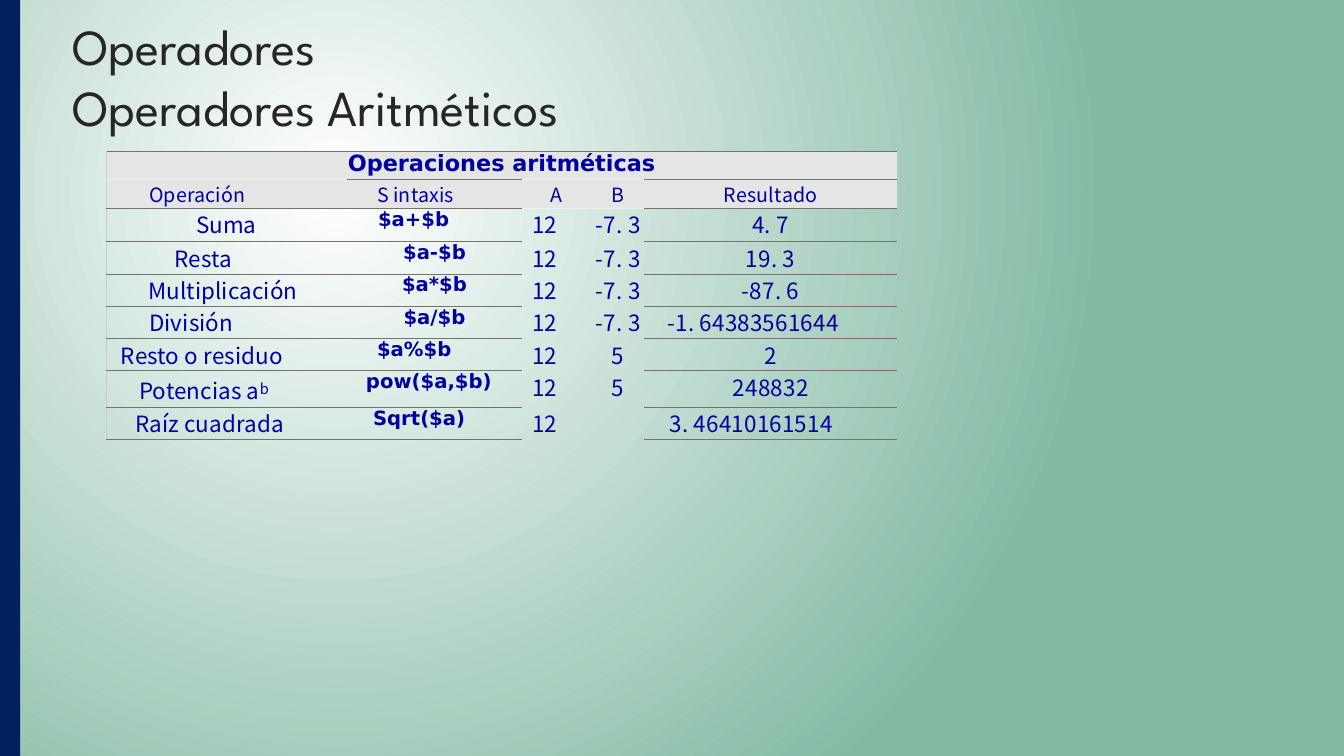
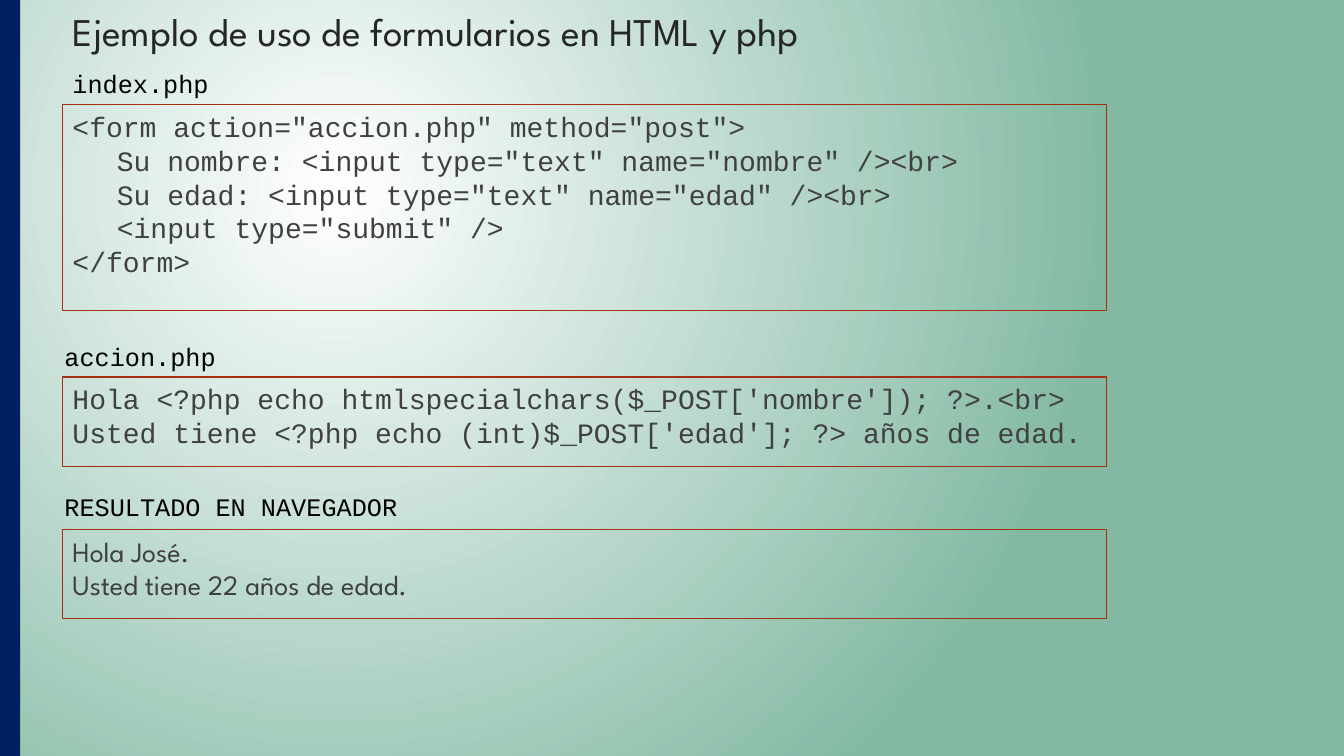
from lxml.etree import SubElement
from pptx import Presentation
from pptx.dml.color import RGBColor
from pptx.enum.shapes import MSO_SHAPE
from pptx.enum.text import MSO_ANCHOR, MSO_AUTO_SIZE, PP_ALIGN
from pptx.oxml.ns import qn
from pptx.util import Inches, Pt

WHITE = RGBColor(0xFF, 0xFF, 0xFF)
GREEN = RGBColor(0x84, 0xBA, 0xA4)
NAVY = RGBColor(0x00, 0x20, 0x60)
BLUE = RGBColor(0x00, 0x00, 0xA0)
TITLE_INK = RGBColor(0x26, 0x26, 0x26)
CODE_INK = RGBColor(0x40, 0x40, 0x40)
BLACK = RGBColor(0x00, 0x00, 0x00)
RUST = RGBColor(0xA5, 0x30, 0x10)
HEADER_GREY = RGBColor(0xE5, 0xE5, 0xE5)
RULE_DARK = RGBColor(0x74, 0x72, 0x6D)
RULE_LIGHT = RGBColor(0xF2, 0xF0, 0xEE)
RULE_EDGE = RGBColor(0xCC, 0xCC, 0xCC)

DISPLAY = "League Spartan"
MONO = "Courier New"
TABLE_FONT = "Noto Sans CJK SC"
TABLE_BOLD = "DejaVu Sans"
NO_STYLE = "{2D5ABB26-0587-4C30-8999-92F81FD0307C}"


def write(paragraph, text, font, size, color, bold=False, align=PP_ALIGN.LEFT,
          indent=0, tracking=0, raised=0, leading=None):
    paragraph.alignment = align
    if leading:
        paragraph.line_spacing = Pt(leading)
    if indent:
        paragraph._p.get_or_add_pPr().set("marL", str(Inches(indent)))
    for number, line in enumerate(text.split("\n")):
        if number:
            paragraph.add_line_break()
        run = paragraph.add_run()
        run.text = line
        run.font.name = font
        run.font.size = Pt(size)
        run.font.bold = bold
        run.font.color.rgb = color
        properties = run._r.get_or_add_rPr()
        if tracking:
            properties.set("spc", str(tracking))
        if raised:
            properties.set("baseline", str(raised))


def add_border(cell, side, color):
    rule = SubElement(cell._tc.get_or_add_tcPr(), qn(f"a:ln{side}"), w=str(Pt(0.1)))
    fill = SubElement(rule, qn("a:solidFill"))
    SubElement(fill, qn("a:srgbClr"), val=str(color))


prs = Presentation()
prs.slide_width, prs.slide_height = Inches(13.33), Inches(7.5)
title_only = prs.slide_layouts[5]

master = prs.slide_master
backdrop = master.background.fill
backdrop.gradient()
for stop, color in zip(backdrop.gradient_stops, (WHITE, GREEN)):
    stop.color.rgb = color
gradient = master.element.find(".//" + qn("p:bgPr") + "/" + qn("a:gradFill"))
gradient.remove(gradient.find(qn("a:lin")))
circle = SubElement(gradient, qn("a:path"))
circle.set("path", "circle")
SubElement(circle, qn("a:fillToRect"), l="50000", t="50000", r="100000", b="100000")

titles = [
    ("Operadores\nOperadores Aritméticos", 36, 0.1, 9.75),
    ("Ejemplo de uso de formularios en HTML y php", 28, 0.02, 11.27),
]
slides = []
for text, size, top, width in titles:
    slide = prs.slides.add_slide(title_only)
    title = slide.shapes.title
    title.left, title.top = Inches(0.62), Inches(top)
    title.width, title.height = Inches(width), Inches(1.4)
    title.text_frame.vertical_anchor = MSO_ANCHOR.TOP
    title.text_frame.auto_size = MSO_AUTO_SIZE.NONE
    write(title.text_frame.paragraphs[0], text, DISPLAY, size, TITLE_INK)
    slides.append(slide)
operators, forms = slides

band = operators.shapes.add_shape(MSO_SHAPE.RECTANGLE, 0, 0, Inches(0.2), prs.slide_height)
band.shadow.inherit = False
band.fill.solid()
band.fill.fore_color.rgb = NAVY
band.line.fill.background()
master.shapes.element.insert(2, band.element)

headings = [("Operación", 0.43), ("S intaxis", 0.3), ("A", None), ("B", None), ("Resultado", None)]
operations = [
    [("Suma", None), ("$a+$b", 0.31), ("12", 0.1), ("-7. 3", 0.05), ("4. 7", None)],
    [("Resta", 0.68), ("$a-$b", None), ("12", 0.1), ("-7. 3", 0.05), ("19. 3", None)],
    [("Multiplicación", 0.42), ("$a*$b", None), ("12", 0.1), ("-7. 3", 0.05), ("-87. 6", None)],
    [("División", 0.43), ("$a/$b", None), ("12", 0.1), ("-7. 3", 0.05), ("-1. 64383561644", 0.23)],
    [("Resto o residuo", 0.15), ("$a%$b", 0.3), ("12", 0.1), ("5", None), ("2", None)],
    [("Potencias a", 0.33), ("pow($a,$b)", 0.19), ("12", 0.1), ("5", None), ("248832", None)],
    [("Raíz cuadrada", 0.29), ("Sqrt($a)", 0.26), ("12", 0.1), ("", None), ("3. 46410161514", 0.25)],
]
banner = [("Operaciones aritméticas", None)] + [("", None)] * 4
rows = [banner, headings] + operations
column_widths = [2.39, 1.74, 0.68, 0.53, 2.51]
row_heights = [0.28, 0.27, 0.33, 0.31, 0.31, 0.31, 0.31, 0.32, 0.31]

frame = operators.shapes.add_table(len(rows), len(column_widths), Inches(1.05), Inches(1.5),
                                   Inches(sum(column_widths)), Inches(sum(row_heights)))
frame.element.find(".//" + qn("a:tableStyleId")).text = NO_STYLE
table = frame.table
table.first_row = table.horz_banding = False
for column, width in zip(table.columns, column_widths):
    column.width = Inches(width)
for row, height in zip(table.rows, row_heights):
    row.height = Inches(height)
table.cell(0, 0).merge(table.cell(0, 4))

for r, entries in enumerate(rows):
    for c, (text, indent) in enumerate(entries):
        cell = table.cell(r, c)
        cell.margin_left = cell.margin_right = cell.margin_top = cell.margin_bottom = 0
        operand = c in (2, 3)
        if c == 0:
            add_border(cell, "L", RULE_EDGE)
        if r == 1 and c in (0, 2, 3):
            add_border(cell, "T", RULE_LIGHT)
        elif r == 0 or not operand:
            add_border(cell, "T", RULE_DARK)
        if r == 0:
            add_border(cell, "B", RULE_DARK if c in (1, 4) else RULE_LIGHT)
        elif not operand:
            add_border(cell, "B", RULE_DARK)
        if r < 2:
            cell.fill.solid()
            cell.fill.fore_color.rgb = HEADER_GREY
        else:
            cell.fill.background()
        if not text:
            continue
        formula = r > 1 and c == 1
        strong = r == 0 or formula
        paragraph = cell.text_frame.paragraphs[0]
        write(paragraph, text, TABLE_BOLD if strong else TABLE_FONT,
              14 if r == 1 or formula else 16, BLUE, bold=strong,
              align=PP_ALIGN.CENTER if indent is None else PP_ALIGN.LEFT,
              indent=indent or 0, tracking=0 if strong else 20 if c > 1 else 10)
        if text == "Potencias a":
            write(paragraph, "b", TABLE_FONT, 18, BLUE, indent=indent, raised=20000)

panels = [
    ("index.php", 0.62, 0.63, 1.56, 1.04, 2.04, MONO, [
        ('<form action="accion.php" method="post">', 0),
        ('Su nombre: <input type="text" name="nombre" /><br>', 0.44),
        ('Su edad: <input type="text" name="edad" /><br>', 0.44),
        ('<input type="submit" />', 0.44),
        ("</form>", 0),
    ]),
    ("accion.php", 0.54, 3.34, 1.71, 3.74, 0.89, MONO, [
        ("Hola <?php echo htmlspecialchars($_POST['nombre']); ?>.<br>\n"
         "Usted tiene <?php echo (int)$_POST['edad']; ?> años de edad.", 0),
    ]),
    ("RESULTADO EN NAVEGADOR", 0.54, 4.83, 3.52, 5.25, 0.89, DISPLAY, [
        ("Hola José.", 0),
        ("Usted tiene 22 años de edad.", 0),
    ]),
]
for heading, left, heading_top, width, top, height, font, lines in panels:
    panel = forms.shapes.add_shape(MSO_SHAPE.RECTANGLE, Inches(0.62), Inches(top),
                                   Inches(10.35), Inches(height))
    panel.shadow.inherit = False
    panel.fill.background()
    panel.line.color.rgb = RUST
    panel.line.width = Pt(0.75)
    body = panel.text_frame
    body.word_wrap = True
    body.vertical_anchor = MSO_ANCHOR.TOP
    for number, (line, indent) in enumerate(lines):
        paragraph = body.add_paragraph() if number else body.paragraphs[0]
        write(paragraph, line, font, 20, CODE_INK, indent=indent, leading=24)

    label = forms.shapes.add_textbox(Inches(left), Inches(heading_top), Inches(width), Inches(0.4))
    label.text_frame.word_wrap = False
    write(label.text_frame.paragraphs[0], heading, MONO, 18, BLACK)

prs.save("out.pptx")
